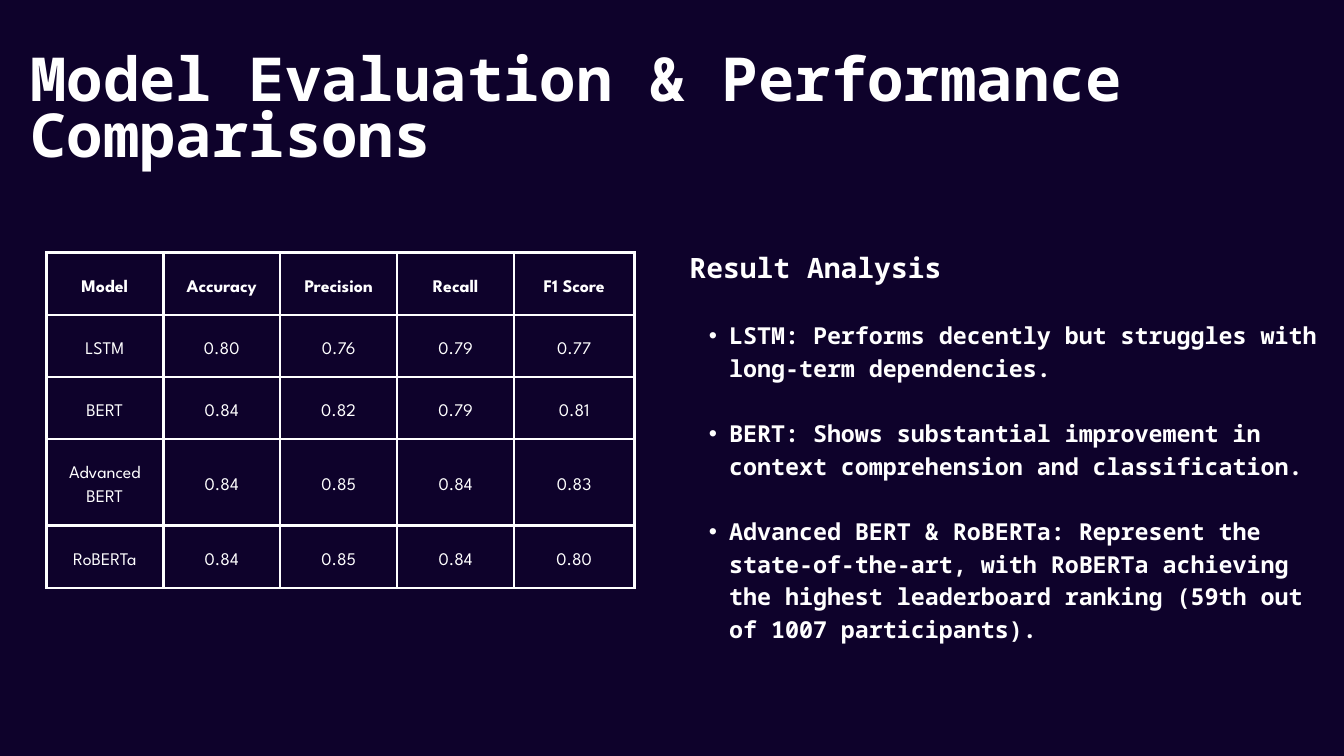
from lxml import etree
from pptx import Presentation
from pptx.dml.color import RGBColor
from pptx.enum.text import MSO_ANCHOR, MSO_AUTO_SIZE, PP_ALIGN
from pptx.oxml.ns import qn
from pptx.util import Inches, Pt

TOP, MIDDLE = MSO_ANCHOR.TOP, MSO_ANCHOR.MIDDLE
LEFT, CENTER = PP_ALIGN.LEFT, PP_ALIGN.CENTER
NO_FIT = MSO_AUTO_SIZE.NONE

NIGHT, WHITE = "0E022B", "FFFFFF"
MONO, SPARTAN = "Noto Sans Mono", "League Spartan"

TITLE = "Model Evaluation & Performance Comparisons"
HEADING = "Result Analysis"
FINDINGS = [
    "LSTM: Performs decently but struggles with long-term dependencies.",
    "BERT: Shows substantial improvement in context comprehension and classification.",
    "Advanced BERT & RoBERTa: Represent the state-of-the-art, with RoBERTa achieving "
    "the highest leaderboard ranking (59th out of 1007 participants).",
]
SCORES = [
    ("Model", "Accuracy", "Precision", "Recall", "F1 Score"),
    ("LSTM", "0.80", "0.76", "0.79", "0.77"),
    ("BERT", "0.84", "0.82", "0.79", "0.81"),
    ("Advanced BERT", "0.84", "0.85", "0.84", "0.83"),
    ("RoBERTa", "0.84", "0.85", "0.84", "0.80"),
]
COLUMN_WIDTHS = [1.74] * 4 + [1.79]
ROW_HEIGHTS = [0.93, 0.92, 0.92, 1.29, 0.93]
CELL_MARGIN = 0.21
BORDER_WIDTH = 3


def color(code):
    return RGBColor.from_string(code)


def write(para, text, font, size, spacing, bold=True, align=LEFT, before=0):
    para.alignment = align
    para.line_spacing = Pt(spacing)
    para.space_before = Pt(before)
    span = para.add_run()
    span.text = text
    span.font.name = font
    span.font.size = Pt(size)
    span.font.bold = bold
    span.font.color.rgb = color(WHITE)


def set_bullet(para, char=None, margin=0, indent=0):
    properties = para._p.get_or_add_pPr()
    properties.set("marL", str(Inches(margin)))
    properties.set("indent", str(Inches(indent)))
    if char:
        etree.SubElement(properties, qn("a:buChar")).set("char", char)
    else:
        etree.SubElement(properties, qn("a:buNone"))


def place(box, left, top, width, height):
    box.left, box.top = Inches(left), Inches(top)
    box.width, box.height = Inches(width), Inches(height)
    frame = box.text_frame
    frame.margin_left = frame.margin_right = frame.margin_top = frame.margin_bottom = 0
    frame.vertical_anchor = TOP
    frame.word_wrap = True
    frame.auto_size = NO_FIT
    return frame


def outline(cell):
    properties = cell._tc.get_or_add_tcPr()
    for side in ("lnL", "lnR", "lnT", "lnB"):
        line = etree.SubElement(properties, qn(f"a:{side}"))
        line.set("w", str(Pt(BORDER_WIDTH)))
        fill = etree.SubElement(line, qn("a:solidFill"))
        etree.SubElement(fill, qn("a:srgbClr")).set("val", WHITE)


def add_scores(page, left, top):
    table = page.shapes.add_table(
        len(SCORES), len(SCORES[0]), Inches(left), Inches(top),
        Inches(sum(COLUMN_WIDTHS)), Inches(sum(ROW_HEIGHTS)),
    ).table
    table.first_row = table.horz_banding = False
    for column, width in zip(table.columns, COLUMN_WIDTHS):
        column.width = Inches(width)
    for index, (row, height, values) in enumerate(zip(table.rows, ROW_HEIGHTS, SCORES)):
        row.height = Inches(height)
        for cell, value in zip(row.cells, values):
            outline(cell)
            cell.fill.background()
            cell.margin_left = cell.margin_right = Inches(CELL_MARGIN)
            cell.margin_top = cell.margin_bottom = Inches(CELL_MARGIN)
            cell.vertical_anchor = MIDDLE
            write(cell.text_frame.paragraphs[0], value, SPARTAN, 19, 26.6,
                  bold=index == 0, align=CENTER)


def main():
    deck = Presentation()
    deck.slide_width, deck.slide_height = Inches(20), Inches(11.25)
    page = deck.slides.add_slide(deck.slide_layouts[1])
    page.background.fill.solid()
    page.background.fill.fore_color.rgb = color(NIGHT)

    add_scores(page, 0.69, 3.76)

    title = place(page.shapes.title, 0.45, 0.85, 18.02, 2.67)
    write(title.paragraphs[0], TITLE, MONO, 65, 60.5)

    body = place(page.placeholders[1], 10.26, 3.64, 9.39, 5.4)
    heading = body.paragraphs[0]
    write(heading, HEADING, MONO, 30, 42)
    set_bullet(heading)
    for finding in FINDINGS:
        para = body.add_paragraph()
        para.level = 1
        write(para, finding, MONO, 25, 35, before=35)
        set_bullet(para, "•", 0.59, -0.3)

    deck.save("out.pptx")


if __name__ == "__main__":
    main()
